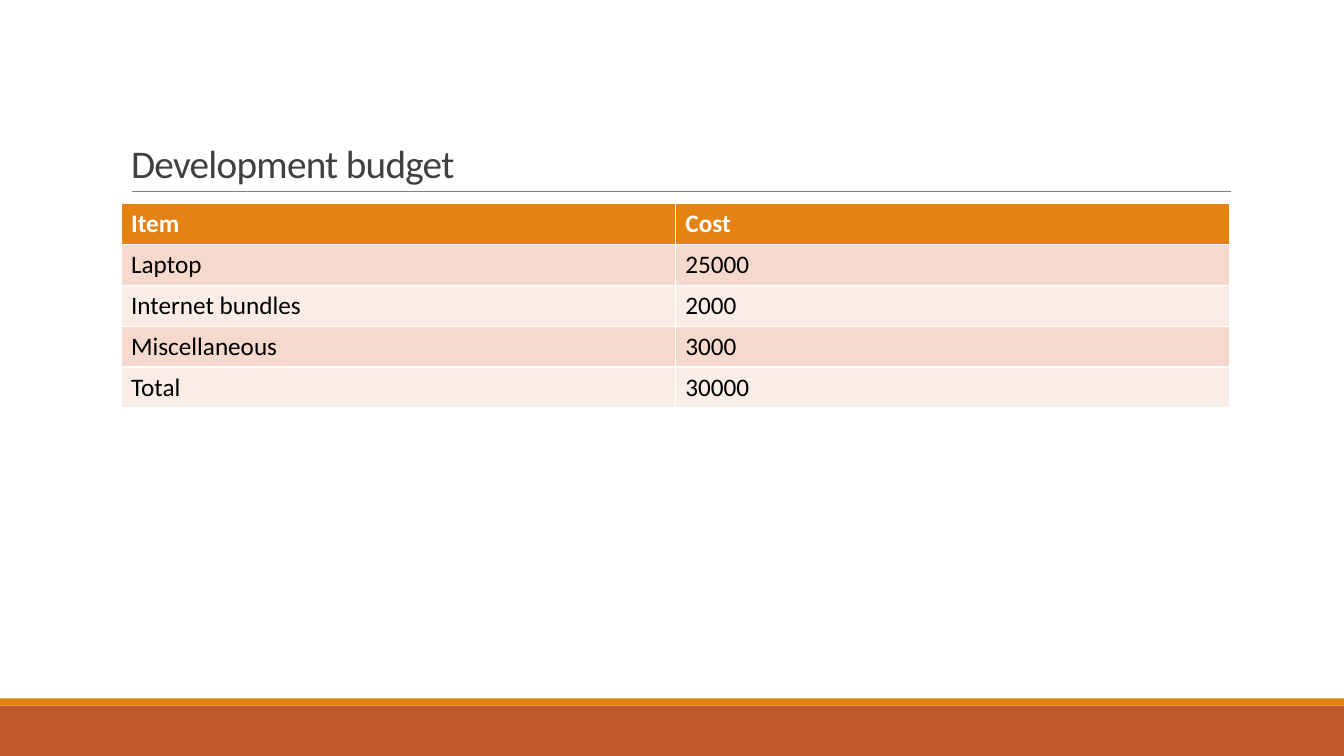
from pptx import Presentation, util as u
from pptx.dml.color import RGBColor
from pptx.enum import shapes, text
from pptx.oxml import parse_xml
from pptx.oxml.ns import nsdecls

ROWS = [
    ("Item", "Cost"),
    ("Laptop", "25000"),
    ("Internet bundles", "2000"),
    ("Miscellaneous", "3000"),
    ("Total", "30000"),
]
WIDE, HIGH = 33.87, 19.05


def paint(fmt, tone):
    fmt.rgb = RGBColor.from_string(tone)


def fill(item, tone):
    item.fill.solid()
    paint(item.fill.fore_color, tone)


def add_run(para, words, size, tone, bold=False):
    run = para.add_run()
    run.text = words
    run.font.name = "Calibri"
    run.font.size = u.Pt(size)
    run.font.bold = bold
    paint(run.font.color, tone)
    return run


def add_foot(slide, left, top, width, height):
    # Broad band with a thin strip along its top
    strip = 0.18
    for y, h, tone in ((top + strip, height - strip, "BD582C"),
                       (top, strip, "E48312")):
        band = slide.shapes.add_shape(
            shapes.MSO_SHAPE.RECTANGLE,
            u.Cm(left), u.Cm(y), u.Cm(width), u.Cm(h))
        band.shadow.inherit = False
        fill(band, tone)
        band.line.fill.background()


def add_head(slide, left, top, width, height):
    # Rule under the title
    base = u.Cm(top + height)
    rule = slide.shapes.add_connector(
        shapes.MSO_CONNECTOR.STRAIGHT,
        u.Cm(left + 0.28), base, u.Cm(left + width + 0.02), base)
    rule.line.width = u.Pt(0.5)
    paint(rule.line.color, "808080")
    rule._element.spPr.append(parse_xml(f"<a:effectLst {nsdecls('a')}/>"))

    # Title
    title = slide.shapes.title
    title.left, title.top = u.Cm(left), u.Cm(top)
    title.width, title.height = u.Cm(width), u.Cm(height)
    frame = title.text_frame
    frame.word_wrap = True
    frame.auto_size = text.MSO_AUTO_SIZE.NONE
    frame.vertical_anchor = text.MSO_ANCHOR.BOTTOM
    para = frame.paragraphs[0]
    para.alignment = text.PP_ALIGN.LEFT
    para.line_spacing = 0.85
    run = add_run(para, "Development budget", 28, "404040")
    run._r.get_or_add_rPr().set("spc", "-50")


def add_costs(slide, left, top, width, height):
    # The table style supplies the white cell borders
    table = slide.shapes.add_table(
        len(ROWS), len(ROWS[0]),
        u.Cm(left), u.Cm(top), u.Cm(width), u.Cm(height)).table
    for row in table.rows:
        row.height = u.Cm(height / len(ROWS))
    for r, row in enumerate(ROWS):
        head = r == 0
        tone = "E48312" if head else ("FAEDE7", "F5D9CC")[r % 2]
        for c, words in enumerate(row):
            cell = table.cell(r, c)
            fill(cell, tone)
            add_run(cell.text_frame.paragraphs[0], words, 18,
                    "FFFFFF" if head else "000000", head)


def main():
    deck = Presentation()
    deck.slide_width, deck.slide_height = u.Cm(WIDE), u.Cm(HIGH)
    slide = deck.slides.add_slide(deck.slide_layouts[5])
    fill(slide.background, "FFFFFF")
    add_foot(slide, 0, 17.6, WIDE, HIGH - 17.6)
    add_head(slide, 3.05, 0.79, 27.94, 4.04)
    add_costs(slide, 3.05, 5.13, 27.94, 5.15)
    deck.save("out.pptx")


if __name__ == "__main__":
    main()
